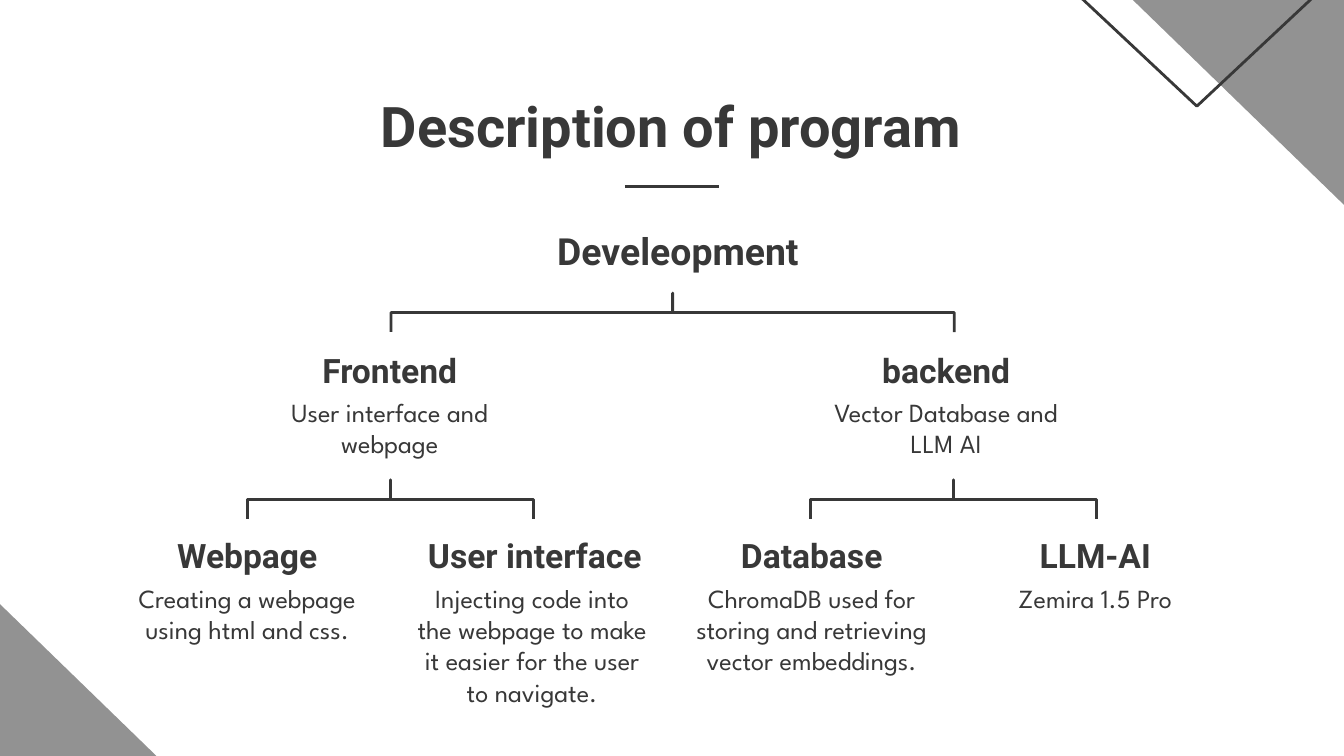
"""Build a slide with a tree of the program's development parts."""
import pptx
import pptx.dml.color
import pptx.enum.shapes
import pptx.enum.text
import pptx.util
from lxml import etree

Inches = pptx.util.Inches
Pt = pptx.util.Pt
SHAPES = pptx.enum.shapes.MSO_SHAPE
DARK = pptx.dml.color.RGBColor(0x38, 0x38, 0x38)
GRAY = pptx.dml.color.RGBColor(0x92, 0x92, 0x92)

HEADING = {"name": "Roboto", "bold": True}
TITLE = {**HEADING, "size": Pt(30)}
ROOT = {**HEADING, "size": Pt(20)}
BRANCH = {**HEADING, "size": Pt(18)}
DETAIL = {"name": "League Spartan", "bold": False, "size": Pt(14)}
FRAME = {
    "word_wrap": True,
    "vertical_anchor": pptx.enum.text.MSO_ANCHOR.TOP,
    "margin_left": Inches(0.1),
    "margin_right": Inches(0.1),
    "margin_top": Inches(0.1),
    "margin_bottom": Inches(0.1),
}

deck = pptx.Presentation()
deck.slide_width = Inches(10)
deck.slide_height = Inches(10) * 9 // 16
page = deck.slides.add_slide(deck.slide_layouts[6])


def add_text(left, top, width, height, words, style):
    box = page.shapes.add_textbox(
        Inches(left), Inches(top), Inches(width), Inches(height)
    )
    for name, value in FRAME.items():
        setattr(box.text_frame, name, value)
    para = box.text_frame.paragraphs[0]
    para.alignment = pptx.enum.text.PP_ALIGN.CENTER
    span = para.add_run()
    span.text = words
    for name, value in style.items():
        setattr(span.font, name, value)
    span.font.color.rgb = DARK


def add_figure(kind, left, top, width, height, rotation, fill=None):
    figure = page.shapes.add_shape(
        kind, Inches(left), Inches(top), Inches(width), Inches(height)
    )
    figure.shadow.inherit = False
    figure.rotation = rotation
    if fill is not None:
        figure.fill.solid()
        figure.fill.fore_color.rgb = fill
        figure.line.fill.background()
    else:
        figure.fill.background()
        figure.line.color.rgb = DARK
        figure.line.width = Pt(1.5)
    return figure


for left, top, rotation in [(-1.84, 2.71, 0), (7.1, -1.29, 180)]:
    add_figure(SHAPES.RIGHT_TRIANGLE, left, top, 3.72, 3.61, rotation, GRAY)
add_figure(SHAPES.ISOSCELES_TRIANGLE, 5.97, -1.96, 5.87, 2.75, 180)

add_text(0.78, 0.58, 8.43, 0.58, "Description of program", TITLE)
add_text(3.88, 1.6, 2.33, 0.58, "Develeopment", ROOT)

rule = page.shapes.add_connector(
    pptx.enum.shapes.MSO_CONNECTOR.STRAIGHT,
    Inches(4.65), Inches(1.39), Inches(5.35), Inches(1.39),
)
rule.line.color.rgb = DARK
rule.line.width = Pt(1.5)
etree.SubElement(rule._element.spPr, pptx.oxml.ns.qn("a:effectLst"))

for left, top, length in [(4.86, 0.23, 4.19), (2.76, 2.65, 2.13), (6.95, 2.65, 2.13)]:
    brace = add_figure(SHAPES.RIGHT_BRACE, left, top, 0.29, length, 270)
    brace.adjustments[0] = 0
    brace.adjustments[1] = 0.5

detail_width = 1.94
for left, top, heading_left, heading_width, heading, detail in [
    (1.93, 2.5, 1.93, detail_width, "Frontend", "User interface and webpage"),
    (6.07, 2.5, 6.07, detail_width, "backend", "Vector Database and LLM AI"),
    (0.87, 3.88, 0.87, detail_width, "Webpage",
     "Creating a webpage using html and css."),
    (2.99, 3.88, 2.9, 2.16, "User interface",
     "Injecting code into the webpage to make it easier for the user to navigate."),
    (5.07, 3.88, 5.07, detail_width, "Database",
     "ChromaDB used for storing and retrieving vector embeddings."),
    (7.18, 3.88, 7.18, detail_width, "LLM-AI", "Zemira 1.5 Pro"),
]:
    add_text(heading_left, top, heading_width, 0.45, heading, BRANCH)
    add_text(left, top + 0.35, detail_width, 0.58, detail, DETAIL)

deck.save("out.pptx")
